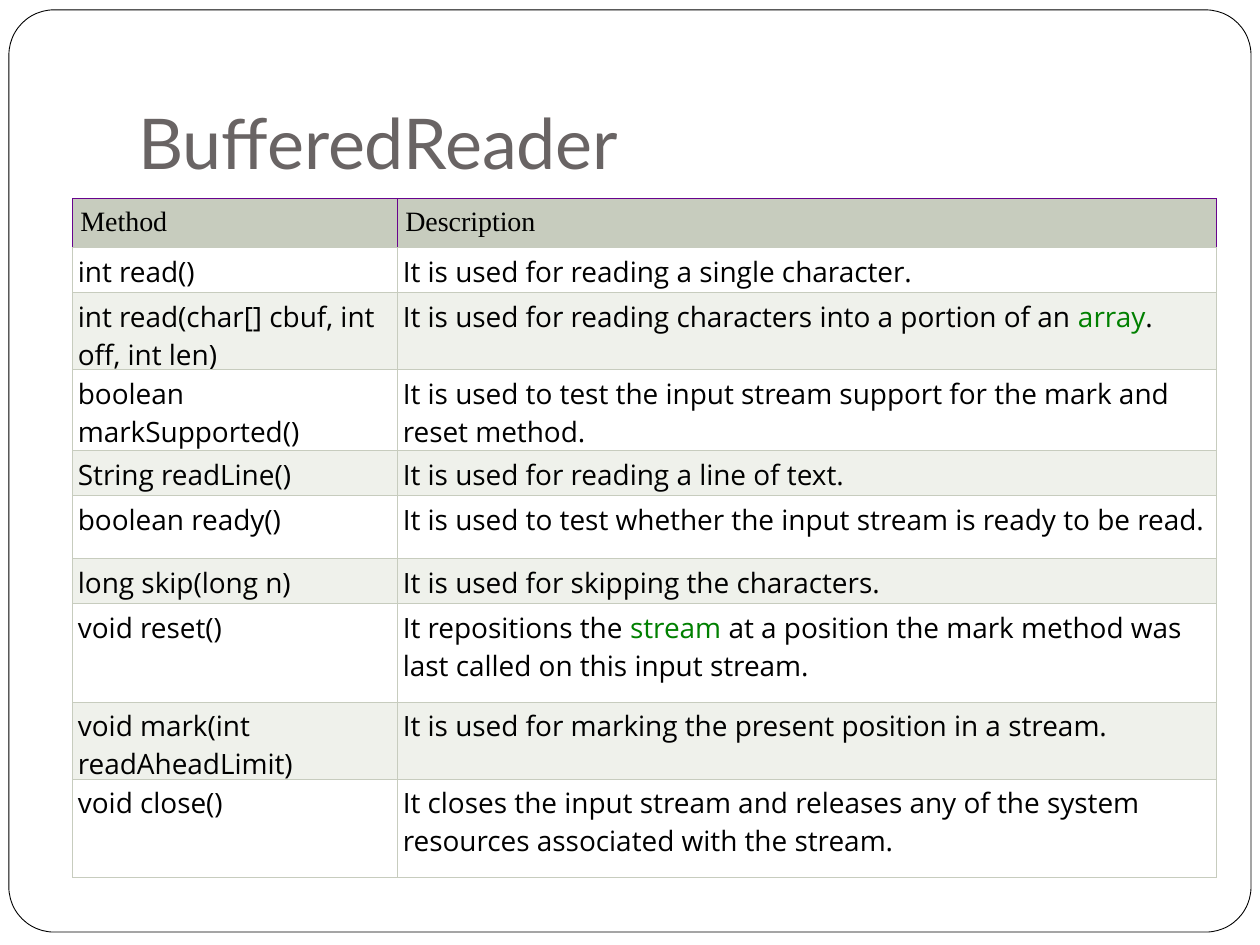
"""Build a slide listing the methods of BufferedReader."""
from lxml import etree
from pptx import Presentation
from pptx.dml.color import RGBColor
from pptx.enum import shapes, text
from pptx.oxml import ns
from pptx.util import Cm, Pt

COLORS = {
    "white": "FFFFFF", "black": "000000", "title": "696464", "link": "008000",
    "header": "C7CCBE", "band": "EFF1EB", "grid": "C7CCBE", "header_line": "68038D",
}
TITLE = "BufferedReader"
HEADERS = ("Method", "Description")
METHODS = [
    ("int read()", ["It is used for reading a single character."], 0.91),
    ("int read(char[] cbuf, int off, int len)",
     ["It is used for reading characters into a portion of an\u00a0", "array", "."], 1.27),
    ("boolean markSupported()",
     ["It is used to test the input stream support for the mark and reset method."], 1.63),
    ("String readLine()", ["It is used for reading a line of text."], 0.91),
    ("boolean ready()",
     ["It is used to test whether the input stream is ready to be read."], 1.27),
    ("long skip(long n)", ["It is used for skipping the characters."], 0.91),
    ("void reset()",
     ["It repositions the\u00a0", "stream",
      "\u00a0at a position the mark method was last called on this input stream."], 1.98),
    ("void mark(int readAheadLimit)",
     ["It is used for marking the present position in a stream."], 1.27),
    ("void close()",
     ["It closes the input stream and releases any of the system resources "
      "associated with the stream."], 1.98),
]
LINKS = {"array", "stream"}
COLUMN_WIDTHS = (6.55, 16.51)
HEADER_HEIGHT = 0.66


def rgb(name):
    return RGBColor.from_string(COLORS[name])


def write(frame, parts, size=16, font="Open Sans", color="black"):
    paragraph = frame.paragraphs[0]
    for part in parts:
        run = paragraph.add_run()
        run.text = part
        run.font.size = Pt(size)
        run.font.name = font
        run.font.color.rgb = rgb("link" if part in LINKS else color)


def set_borders(cell, **colors):
    properties = cell._tc.get_or_add_tcPr()
    for side in "LRTB":
        line = etree.SubElement(properties, ns.qn(f"a:ln{side}"), w=str(Pt(0.75)))
        fill = etree.SubElement(line, ns.qn("a:solidFill"))
        etree.SubElement(fill, ns.qn("a:srgbClr"), val=COLORS[colors.get(side, "grid")])


def fill_cell(cell, parts, fill, margin, borders, font):
    set_borders(cell, **borders)
    cell.fill.solid()
    cell.fill.fore_color.rgb = rgb(fill)
    cell.margin_left = cell.margin_right = Cm(margin)
    cell.margin_top = cell.margin_bottom = Cm(margin)
    write(cell.text_frame, parts, font=font)


presentation = Presentation()
presentation.slide_width, presentation.slide_height = Cm(25.4), Cm(19.05)
slide = presentation.slides.add_slide(presentation.slide_layouts[6])

border = slide.shapes.add_shape(
    shapes.MSO_SHAPE.ROUNDED_RECTANGLE, Cm(0.18), Cm(0.2), Cm(25.04), Cm(18.59))
border.adjustments[0] = 0.049
border.shadow.inherit = False
border.fill.solid()
border.fill.fore_color.rgb = rgb("white")
border.line.color.rgb = rgb("black")
border.line.width = Pt(0.5)

title = slide.shapes.add_textbox(Cm(2.54), Cm(0.76), Cm(21.59), Cm(3.18)).text_frame
title.word_wrap = True
title.vertical_anchor = text.MSO_ANCHOR.BOTTOM
title.margin_bottom = Cm(0.25)
write(title, [TITLE], size=40, font="Lato", color="title")

heights = [HEADER_HEIGHT] + [height for _, _, height in METHODS]
table = slide.shapes.add_table(
    len(heights), len(COLUMN_WIDTHS), Cm(1.47), Cm(4.01),
    Cm(sum(COLUMN_WIDTHS)), Cm(sum(heights))).table
for column, width in zip(table.columns, COLUMN_WIDTHS):
    column.width = Cm(width)
for row, height in zip(table.rows, heights):
    row.height = Cm(height)

header_borders = dict.fromkeys("LRT", "header_line")
for index, label in enumerate(HEADERS):
    fill_cell(table.cell(0, index), [label], "header", 0.15, header_borders,
              "Times New Roman")
for index, (method, description, _) in enumerate(METHODS, 1):
    fill = "white" if index % 2 else "band"
    for column, parts in enumerate(([method], description)):
        fill_cell(table.cell(index, column), parts, fill, 0.1, {}, "Open Sans")

presentation.save("out.pptx")
